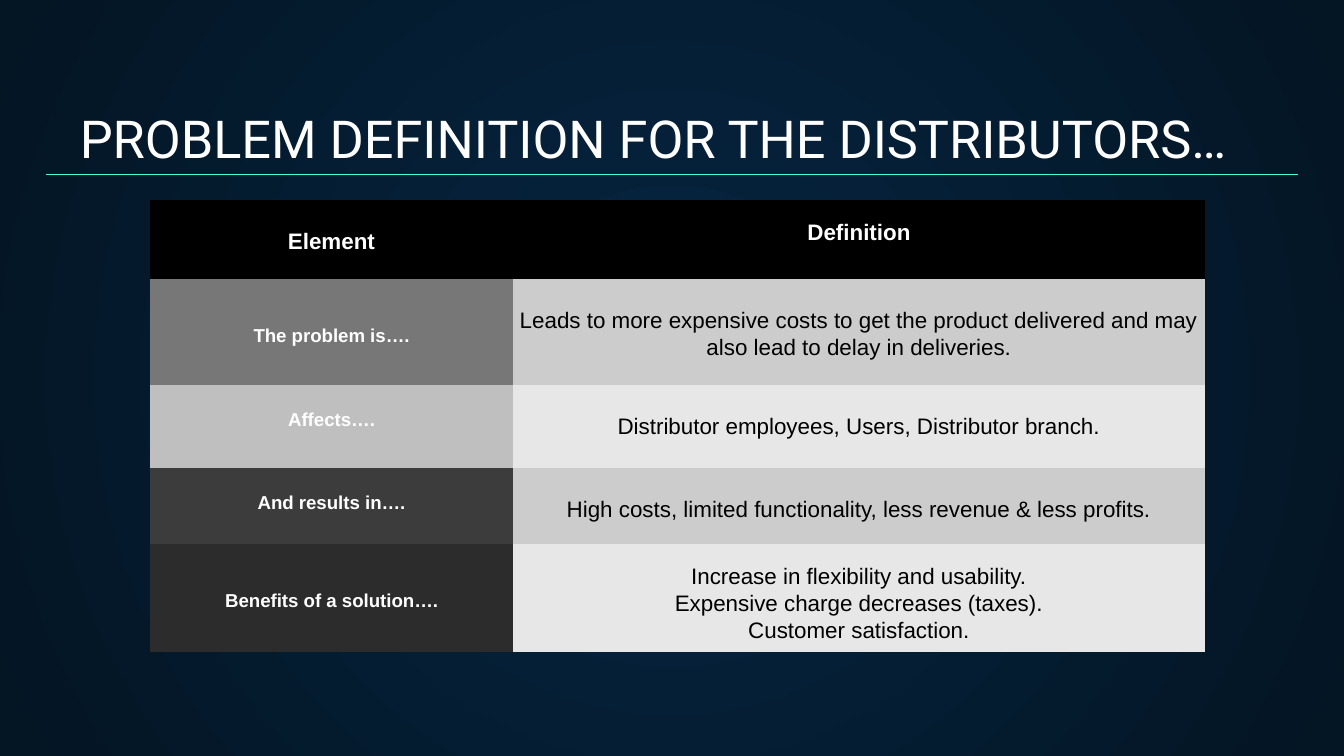
from lxml import etree
from pptx import Presentation
from pptx.dml.color import RGBColor
from pptx.enum import shapes, text
from pptx.oxml import parse_xml
from pptx.oxml.ns import nsdecls, qn
from pptx.util import Pt

WHITE = RGBColor(0xFF, 0xFF, 0xFF)
BLACK = RGBColor(0x00, 0x00, 0x00)
NAVY = RGBColor(0x05, 0x26, 0x43)
MIDNIGHT = RGBColor(0x04, 0x15, 0x23)
AQUA = RGBColor(0x48, 0xFF, 0xD5)
GREY = RGBColor(0x77, 0x77, 0x77)
SILVER = RGBColor(0xBF, 0xBF, 0xBF)
CHARCOAL = RGBColor(0x3C, 0x3C, 0x3C)
GRAPHITE = RGBColor(0x2C, 0x2C, 0x2C)
BAND_DARK = RGBColor(0xCC, 0xCC, 0xCC)
BAND_LIGHT = RGBColor(0xE7, 0xE7, 0xE7)


def write(frame, lines, spacing, font):
    """Fill a text frame with centred paragraphs in one format."""
    frame.text = "\n".join(lines)
    for para in frame.paragraphs:
        para.alignment = text.PP_ALIGN.CENTER
        para.line_spacing = spacing
        para.space_before = Pt(0)
        for span in para.runs:
            span.font.color.rgb = font["color"]
            for name in ("name", "size", "bold"):
                setattr(span.font, name, font[name])


deck = Presentation()
deck.slide_width, deck.slide_height = Pt(720), Pt(405)
page = deck.slides.add_slide(deck.slide_layouts[5])

# Radial background
backdrop = page.background.fill
backdrop.gradient()
for stop, color in zip(backdrop.gradient_stops, (NAVY, MIDNIGHT)):
    stop.color.rgb = color
gradient = page.element.find(".//" + qn("a:gradFill"))
gradient.replace(gradient.find(qn("a:lin")), parse_xml(
    f'<a:path {nsdecls("a")} path="circle">'
    '<a:fillToRect l="50000" t="50000" r="50000" b="50000"/></a:path>'))

# Title and rule
title = page.shapes.title
title.left, title.top, title.width, title.height = Pt(4.3), Pt(50.4), Pt(691), Pt(47.5)
frame_format = {
    "margin_left": Pt(7.2), "margin_right": Pt(7.2),
    "margin_top": Pt(7.2), "margin_bottom": Pt(7.2),
    "vertical_anchor": text.MSO_ANCHOR.BOTTOM,
    "auto_size": text.MSO_AUTO_SIZE.NONE, "word_wrap": True,
}
for name, value in frame_format.items():
    setattr(title.text_frame, name, value)
write(title.text_frame, ["PROBLEM DEFINITION FOR THE DISTRIBUTORS…"], 1.0,
      {"name": "Roboto", "size": Pt(28), "bold": False, "color": WHITE})

rule = page.shapes.add_connector(
    shapes.MSO_CONNECTOR.STRAIGHT, Pt(24.5), Pt(93.6), Pt(695.5), Pt(93.6))
rule.line.color.rgb = AQUA
rule.line.width = Pt(0.75)
etree.SubElement(rule.element.spPr, qn("a:effectLst"))

# Each cell: lines, fill, text size, bold, text colour, space above the text
rows = [
    (42.4, (["Element"], BLACK, 12, True, WHITE, 14.7),
     (["Definition"], BLACK, 12, True, WHITE, 9.8)),
    (56.8, (["The problem is…."], GREY, 10, True, WHITE, 24.4),
     (["Leads to more expensive costs to get the product delivered and "
       "may also lead to delay in deliveries."], BAND_DARK, 12, False, BLACK, 14.7)),
    (44.4, (["Affects…."], SILVER, 10, True, WHITE, 12.2),
     (["Distributor employees, Users, Distributor branch."],
      BAND_LIGHT, 12, False, BLACK, 14.7)),
    (40.8, (["And results in…."], CHARCOAL, 10, True, WHITE, 12.2),
     (["High costs, limited functionality, less revenue & less profits."],
      BAND_DARK, 12, False, BLACK, 14.7)),
    (57.8, (["Benefits of a solution…."], GRAPHITE, 10, True, WHITE, 24.4),
     (["Increase in flexibility and usability.",
       "Expensive charge decreases (taxes).",
       "Customer satisfaction."], BAND_LIGHT, 12, False, BLACK, 9.8)),
]
table = page.shapes.add_table(
    len(rows), 2, Pt(80.4), Pt(107.2), Pt(565.2), Pt(242.2)).table
table.first_row = table.horz_banding = False
table.columns[0].width, table.columns[1].width = Pt(194.4), Pt(370.8)

for r, (height, *cells) in enumerate(rows):
    table.rows[r].height = Pt(height)
    for c, (lines, fill, size, bold, color, space) in enumerate(cells):
        cell = table.cell(r, c)
        cell.fill.solid()
        cell.fill.fore_color.rgb = fill
        cell.margin_left = cell.margin_right = Pt(3.6)
        cell.margin_top, cell.margin_bottom = Pt(space), Pt(0)
        cell.vertical_anchor = text.MSO_ANCHOR.TOP
        write(cell.text_frame, lines, 1.07,
              {"name": "Arial", "size": Pt(size), "bold": bold, "color": color})
        # Hide the borders of the default table style
        for position, side in enumerate(("lnL", "lnR", "lnT", "lnB")):
            cell._tc.tcPr.insert(position, parse_xml(
                f'<a:{side} {nsdecls("a")} w="0"><a:noFill/></a:{side}>'))

deck.save("out.pptx")
